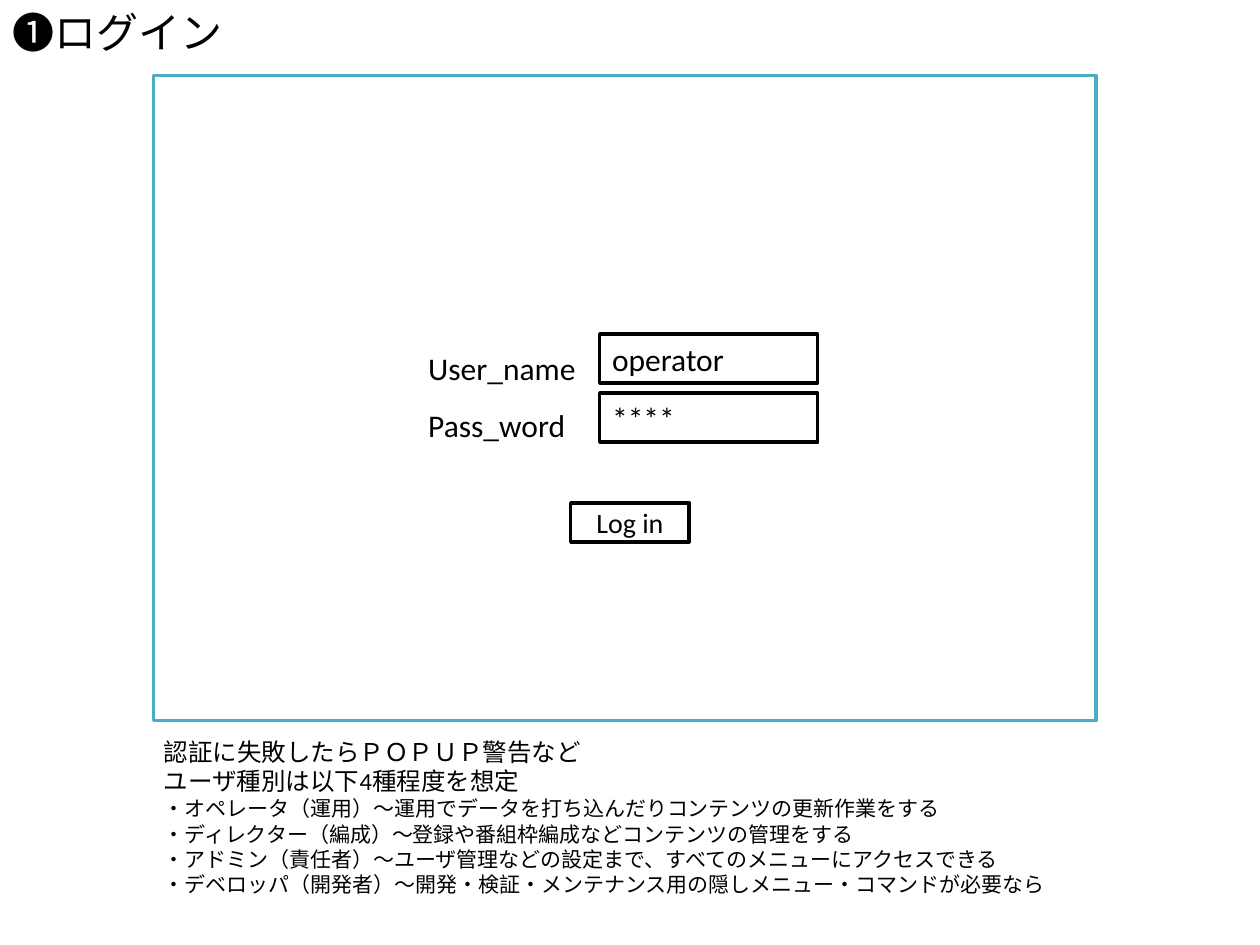
from dataclasses import dataclass
from typing import Optional

from pptx import Presentation
from pptx import util as u
from pptx.dml.color import RGBColor
from pptx.enum import shapes, text

BLACK = RGBColor(0x00, 0x00, 0x00)
WHITE = RGBColor(0xFF, 0xFF, 0xFF)
TEAL = RGBColor(0x4B, 0xAC, 0xC6)
FONT_NAME = "Calibri"


@dataclass
class Line:
    content: str
    size: int
    spacing: Optional[float] = None
    alignment: text.PP_ALIGN = text.PP_ALIGN.LEFT


@dataclass
class Area:
    left: float
    top: float
    width: float
    height: float

    def lengths(self) -> list:
        return [u.Inches(v) for v in (self.left, self.top, self.width, self.height)]


@dataclass
class Box:
    area: Area
    lines: list[Line]
    border: RGBColor = BLACK


@dataclass
class Label:
    area: Area
    lines: list[Line]
    wrap: bool = True
    auto_size: text.MSO_AUTO_SIZE = text.MSO_AUTO_SIZE.NONE


def apply(target, values: dict) -> None:
    for name, value in values.items():
        setattr(target, name, value)


def write_lines(frame, lines: list[Line]) -> None:
    for index, line in enumerate(lines):
        paragraph = frame.add_paragraph() if index else frame.paragraphs[0]
        apply(paragraph, {"alignment": line.alignment, "line_spacing": line.spacing})
        run = paragraph.add_run()
        run.text = line.content
        apply(run.font, {"name": FONT_NAME, "size": u.Pt(line.size)})
        run.font.color.rgb = BLACK


def draw_box(slide, box: Box) -> None:
    shape = slide.shapes.add_shape(shapes.MSO_SHAPE.RECTANGLE, *box.area.lengths())
    shape.shadow.inherit = False
    shape.fill.solid()
    shape.fill.fore_color.rgb = WHITE
    shape.line.color.rgb = box.border
    shape.line.width = u.Pt(2)
    shape.text_frame.vertical_anchor = text.MSO_ANCHOR.MIDDLE
    write_lines(shape.text_frame, box.lines)


def draw_label(slide, label: Label) -> None:
    frame = slide.shapes.add_textbox(*label.area.lengths()).text_frame
    apply(frame, {"word_wrap": label.wrap, "auto_size": label.auto_size})
    write_lines(frame, label.lines)


TITLE = Label(Area(0, 0, 10, 0.6), [Line("❶ログイン", 24)])
SCREEN = Box(Area(1.22, 0.6, 7.48, 5.12), [], TEAL)

# Login form
FIELD_NAMES = Label(
    Area(3.3, 2.57, 1.38, 0.96),
    [Line(name, 18, 1.5) for name in ("User_name", "Pass_word")],
    wrap=False,
    auto_size=text.MSO_AUTO_SIZE.SHAPE_TO_FIT_TEXT,
)
FIELD_TOP, FIELD_STEP = 2.65, 0.47
FIELDS = [
    Box(Area(4.76, FIELD_TOP + row * FIELD_STEP, 1.73, 0.39), [Line(value, 18)])
    for row, value in enumerate(("operator", "****"))
]
LOGIN_BUTTON = Box(
    Area(4.53, 3.99, 0.94, 0.31),
    [Line("Log in", 16, alignment=text.PP_ALIGN.CENTER)],
)

# Remarks below the screen
REMARKS = ("認証に失敗したらＰＯＰＵＰ警告など", "ユーザ種別は以下4種程度を想定")
USER_TYPES = (
    "・オペレータ（運用）～運用でデータを打ち込んだりコンテンツの更新作業をする",
    "・ディレクター（編成）～登録や番組枠編成などコンテンツの管理をする",
    "・アドミン（責任者）～ユーザ管理などの設定まで、すべてのメニューにアクセスできる",
    "・デベロッパ（開発者）～開発・検証・メンテナンス用の隠しメニュー・コマンドが必要なら",
)
NOTES = Label(
    Area(1.2, 5.8, 7.66, 1.62),
    [Line(remark, 14) for remark in REMARKS] + [Line(kind, 12) for kind in USER_TYPES],
    auto_size=text.MSO_AUTO_SIZE.SHAPE_TO_FIT_TEXT,
)


def main() -> None:
    presentation = Presentation()
    apply(presentation, {"slide_width": u.Inches(10), "slide_height": u.Inches(7.5)})
    slide = presentation.slides.add_slide(presentation.slide_layouts[6])

    draw_label(slide, TITLE)
    draw_box(slide, SCREEN)
    draw_label(slide, FIELD_NAMES)
    for field in FIELDS:
        draw_box(slide, field)
    draw_label(slide, NOTES)
    draw_box(slide, LOGIN_BUTTON)

    presentation.save("out.pptx")


if __name__ == "__main__":
    main()
